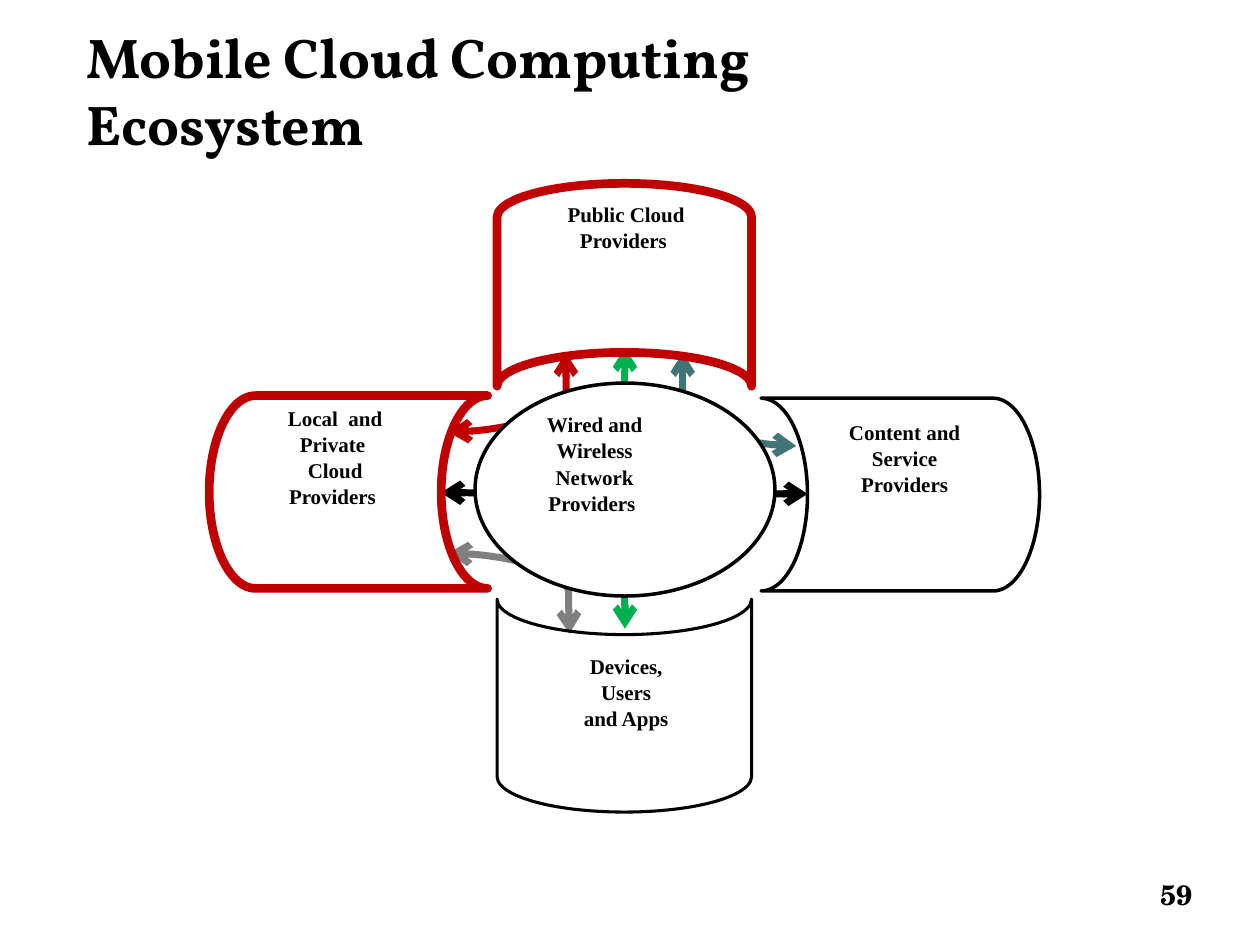
from lxml.etree import SubElement
from pptx import Presentation
from pptx.dml.color import RGBColor
from pptx.enum.shapes import MSO_CONNECTOR, MSO_SHAPE
from pptx.enum.text import MSO_ANCHOR, PP_ALIGN
from pptx.oxml.ns import qn
from pptx.util import Inches, Pt

BLACK, WHITE, RED, GREEN = "000000", "FFFFFF", "C00000", "00B050"
GREY, TEAL = "808080", "417478"


def color(value):
    return RGBColor.from_string(value)


class EcosystemSlide:
    label_font = "Times New Roman"
    label_size = 12
    arrow_width = 4

    def __init__(self, presentation):
        self.slide = presentation.slides.add_slide(presentation.slide_layouts[6])

    def text(self, box, lines, font, size, align=PP_ALIGN.LEFT,
             anchor=MSO_ANCHOR.TOP, spacing=None):
        shape = self.slide.shapes.add_textbox(*map(Inches, box))
        frame = shape.text_frame
        frame.word_wrap = True
        frame.vertical_anchor = anchor
        for index, line in enumerate(lines):
            paragraph = frame.add_paragraph() if index else frame.paragraphs[0]
            paragraph.alignment = align
            paragraph.line_spacing = spacing
            run = paragraph.add_run()
            run.text = line
            run.font.name = font
            run.font.size = Pt(size)
            run.font.bold = True
            run.font.color.rgb = color(BLACK)

    def label(self, center, top, width, lines):
        self.text((center - width / 2, top, width, 0.45), lines, self.label_font,
                  self.label_size, PP_ALIGN.CENTER, spacing=1.04)

    def outline(self, preset, box, line, width, rotation=0, fill=None):
        shape = self.slide.shapes.add_shape(preset, *map(Inches, box))
        shape.shadow.inherit = False
        shape.rotation = rotation
        if fill:
            shape.fill.solid()
            shape.fill.fore_color.rgb = color(fill)
        else:
            shape.fill.background()
        shape.line.color.rgb = color(line)
        shape.line.width = Pt(width)

    def arrow(self, start, end, line, bend=None):
        kind = MSO_CONNECTOR.STRAIGHT if bend is None else MSO_CONNECTOR.CURVE
        connector = self.slide.shapes.add_connector(kind, *map(Inches, start + end))
        connector.line.color.rgb = color(line)
        connector.line.width = Pt(self.arrow_width)
        properties = connector._element.spPr
        if bend is not None:
            guides = properties.find(qn("a:prstGeom")).get_or_add_avLst()
            SubElement(guides, qn("a:gd"), name="adj1", fmla=f"val {bend}")
        outline = properties.find(qn("a:ln"))
        for tip in ("a:headEnd", "a:tailEnd"):
            SubElement(outline, qn(tip), type="arrow")
        SubElement(properties, qn("a:effectLst"))


def main():
    presentation = Presentation()
    presentation.slide_width = Inches(10)
    presentation.slide_height = Inches(7.5)
    slide = EcosystemSlide(presentation)

    slide.text((7.48, 6.9, 2.08, 0.38), ["59"], "TeX Gyre Schola", 16,
               PP_ALIGN.RIGHT, MSO_ANCHOR.BOTTOM)
    slide.text((0.59, 0.13, 8.11, 1.18), ["Mobile Cloud Computing", "Ecosystem"],
               "Vollkorn", 32)

    slide.arrow((3.56, 4.39), (4.52, 5.03), GREY, 99400)
    slide.arrow((5.42, 2.8), (6.32, 3.54), TEAL, -200)
    slide.arrow((3.56, 3.43), (4.49, 2.8), RED, 100400)
    slide.arrow((4.96, 4.99), (4.96, 2.76), GREEN)
    slide.arrow((3.5, 3.91), (6.41, 3.92), BLACK)

    slide.outline(MSO_SHAPE.OVAL, (3.77, 3.04, 2.38, 1.69), BLACK, 2, fill=WHITE)
    for box, line, width, rotation in (
        ((1.66, 3.14, 2.21, 1.53), RED, 5, 0),
        ((4.11, 4.59, 1.69, 2.02), BLACK, 1.75, 270),
        ((4.15, 1.25, 1.61, 2.02), RED, 5, 90),
        ((6.04, 3.16, 2.21, 1.53), BLACK, 2, 180),
    ):
        slide.outline(MSO_SHAPE.FLOWCHART_STORED_DATA, box, line, width, rotation)

    for center, top, width, lines in (
        (4.72, 3.21, 1.1, ["Wired and Wireless", "Network Providers "]),
        (2.66, 3.16, 1.09, ["Local  and Private ", "Cloud Providers "]),
        (4.97, 5.13, 1.1, ["Devices, Users", " and Apps "]),
        (4.97, 1.54, 1.6, ["Public Cloud Providers "]),
        (7.18, 3.27, 1.4, ["Content and Service", "Providers"]),
    ):
        slide.label(center, top, width, lines)

    presentation.save("out.pptx")


if __name__ == "__main__":
    main()
